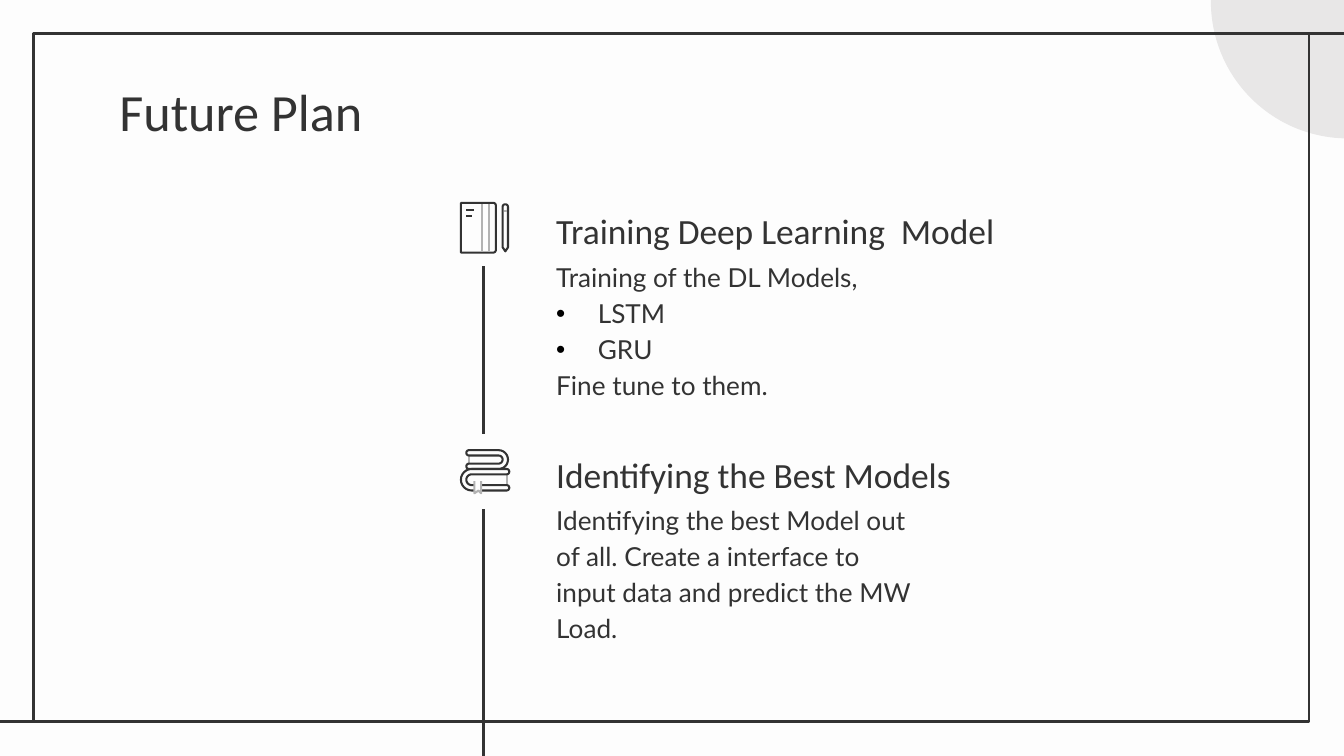
from dataclasses import dataclass
from math import cos, radians, sin

from lxml.etree import SubElement
from pptx import Presentation
from pptx.dml.color import RGBColor
from pptx.enum.shapes import MSO_CONNECTOR, MSO_SHAPE
from pptx.enum.text import MSO_ANCHOR
from pptx.oxml.ns import qn
from pptx.util import Inches, Pt


@dataclass(frozen=True)
class Theme:
    paper: RGBColor = RGBColor.from_string("FDFDFD")
    ink: RGBColor = RGBColor.from_string("333333")
    accent: RGBColor = RGBColor.from_string("B2B2B2")
    circle: RGBColor = RGBColor.from_string("E8E7E7")
    heading_font: str = "Calibri"
    body_font: str = "Lato"
    title_size: Pt = Pt(28)
    heading_size: Pt = Pt(19)
    body_size: Pt = Pt(14)
    rule_width: Pt = Pt(1.5)
    icon_width: Pt = Pt(1.1)


theme = Theme()
deck = Presentation()
deck.slide_width = Inches(10)
deck.slide_height = Inches(10) * 9 // 16
page = deck.slides.add_slide(deck.slide_layouts[6])
page.background.fill.solid()
page.background.fill.fore_color.rgb = theme.paper


def add_outline(points, color, closed=True):
    """Draw a thin icon stroke through points given in inches, filled with paper."""
    corners = [(Inches(x), Inches(y)) for x, y in points]
    builder = page.shapes.build_freeform(*corners[0])
    builder.add_line_segments(corners[1:], close=closed)
    shape = builder.convert_to_shape()
    shape.shadow.inherit = False
    shape.fill.solid()
    shape.fill.fore_color.rgb = theme.paper
    shape.line.color.rgb = color
    shape.line.width = theme.icon_width


def arc(x, y, radius, start, end):
    """Return 13 points on an arc; angles in degrees, clockwise from the right."""
    angles = [radians(start + (end - start) * step / 12) for step in range(13)]
    return [(x + radius * cos(a), y + radius * sin(a)) for a in angles]


# Corner circle, frame and the plain squares behind the icons
for preset, left, top, width, height, fill in [
    (MSO_SHAPE.OVAL, 9.01, -1.01, 2.04, 2.04, theme.circle),
    (MSO_SHAPE.RECTANGLE, 0.25, 0.25, 9.49, 5.12, None),
    (MSO_SHAPE.RECTANGLE, 3.32, 3.23, 0.56, 0.56, theme.paper),
    (MSO_SHAPE.RECTANGLE, 3.32, 1.41, 0.56, 0.56, theme.paper),
]:
    shape = page.shapes.add_shape(
        preset, Inches(left), Inches(top), Inches(width), Inches(height))
    shape.shadow.inherit = False
    if fill is None:
        shape.fill.background()
        shape.line.color.rgb = theme.ink
        shape.line.width = theme.rule_width
    else:
        shape.fill.solid()
        shape.fill.fore_color.rgb = fill
        shape.line.fill.background()

# Notebook and pen
notebook = ([(3.43, 1.88), (3.43, 1.51)]
            + arc(3.67, 1.53, 0.02, -90, 0) + arc(3.67, 1.86, 0.02, 0, 90))
pen = arc(3.76, 1.54, 0.02, 180, 360) + [(3.78, 1.84), (3.76, 1.87), (3.74, 1.84)]
add_outline(notebook, theme.ink)
add_outline(pen, theme.ink)

# Frame extensions, timeline and the thin details of the icons
rule, thin = theme.rule_width, theme.icon_width
for start_x, start_y, end_x, end_y, color, width in [
    (0.26, 5.37, -0.02, 5.37, theme.ink, rule),
    (10.03, 0.25, 9.74, 0.25, theme.ink, rule),
    (3.6, 1.98, 3.6, 3.23, theme.ink, rule),
    (3.6, 3.79, 3.6, 5.73, theme.ink, rule),
    (3.59, 1.52, 3.59, 1.87, theme.accent, thin),
    (3.64, 1.52, 3.64, 1.87, theme.accent, thin),
    (3.75, 1.57, 3.77, 1.57, theme.accent, thin),
    (3.47, 1.56, 3.53, 1.56, theme.ink, thin),
    (3.47, 1.61, 3.51, 1.61, theme.ink, thin),
    (3.49, 3.39, 3.49, 3.45, theme.accent, thin),
    (3.77, 3.53, 3.77, 3.6, theme.accent, thin),
]:
    line = page.shapes.add_connector(
        MSO_CONNECTOR.STRAIGHT,
        Inches(start_x), Inches(start_y), Inches(end_x), Inches(end_y))
    line.line.color.rgb = color
    line.line.width = width
    SubElement(line._element.spPr, qn("a:effectLst"))

# Two stacked books: round spine on one side, two cover ends on the other
for spine_x, end_x, middle, outer, inner, turn in [
    (3.71, 3.49, 3.42, 0.07, 0.03, 0),
    (3.51, 3.77, 3.57, 0.08, 0.04, 180),
]:
    offset = (outer + inner) / 2 * (1 if turn == 0 else -1)
    cap = (outer - inner) / 2
    add_outline(
        arc(spine_x, middle, outer, turn - 90, turn + 90)
        + arc(end_x, middle + offset, cap, turn + 90, turn + 270)
        + arc(spine_x, middle, inner, turn + 90, turn - 90)
        + arc(end_x, middle - offset, cap, turn + 90, turn + 270),
        theme.ink)
add_outline([(3.53, 3.58), (3.53, 3.67), (3.56, 3.65), (3.58, 3.67), (3.58, 3.58)],
            theme.accent, closed=False)

# Text
heading = (theme.heading_font, theme.heading_size, 1.15, MSO_ANCHOR.BOTTOM)
body = (theme.body_font, theme.body_size, 1.15, MSO_ANCHOR.TOP)
title = (theme.heading_font, theme.title_size, 1, MSO_ANCHOR.TOP)
bullets = ("LSTM", "GRU")
for left, top, width, height, style, lines in [
    (0.79, 0.49, 8.43, 0.63, title, ["Future Plan"]),
    (4.04, 1.59, 4.26, 0.38, heading, ["Training Deep Learning  Model"]),
    (4.04, 1.81, 2.91, 1.29, body,
     ["Training of the DL Models,", *bullets, "Fine tune to them."]),
    (4.04, 3.41, 4.42, 0.38, heading, ["Identifying the Best Models"]),
    (4.04, 3.62, 2.91, 1.29, body,
     ["Identifying the best Model out of all. Create a interface to "
      "input data and predict the MW Load."]),
]:
    font, size, spacing, anchor = style
    box = page.shapes.add_textbox(
        Inches(left), Inches(top), Inches(width), Inches(height))
    frame = box.text_frame
    frame.word_wrap = True
    frame.vertical_anchor = anchor
    frame.margin_left = frame.margin_right = Inches(0.1)
    frame.margin_top = frame.margin_bottom = Inches(0.1)
    frame.text = "\n".join(lines)
    for para in frame.paragraphs:
        para.line_spacing = spacing
        for span in para.runs:
            span.font.name = font
            span.font.size = size
            span.font.color.rgb = theme.ink
        if para.text in bullets:
            properties = para._p.get_or_add_pPr()
            properties.set("marL", str(Inches(0.31)))
            properties.set("indent", str(-Inches(0.31)))
            bullet_color = SubElement(properties, qn("a:buClr"))
            SubElement(bullet_color, qn("a:srgbClr"), val="000000")
            SubElement(properties, qn("a:buFont"), typeface="Arial")
            SubElement(properties, qn("a:buChar"), char="•")

deck.save("out.pptx")
